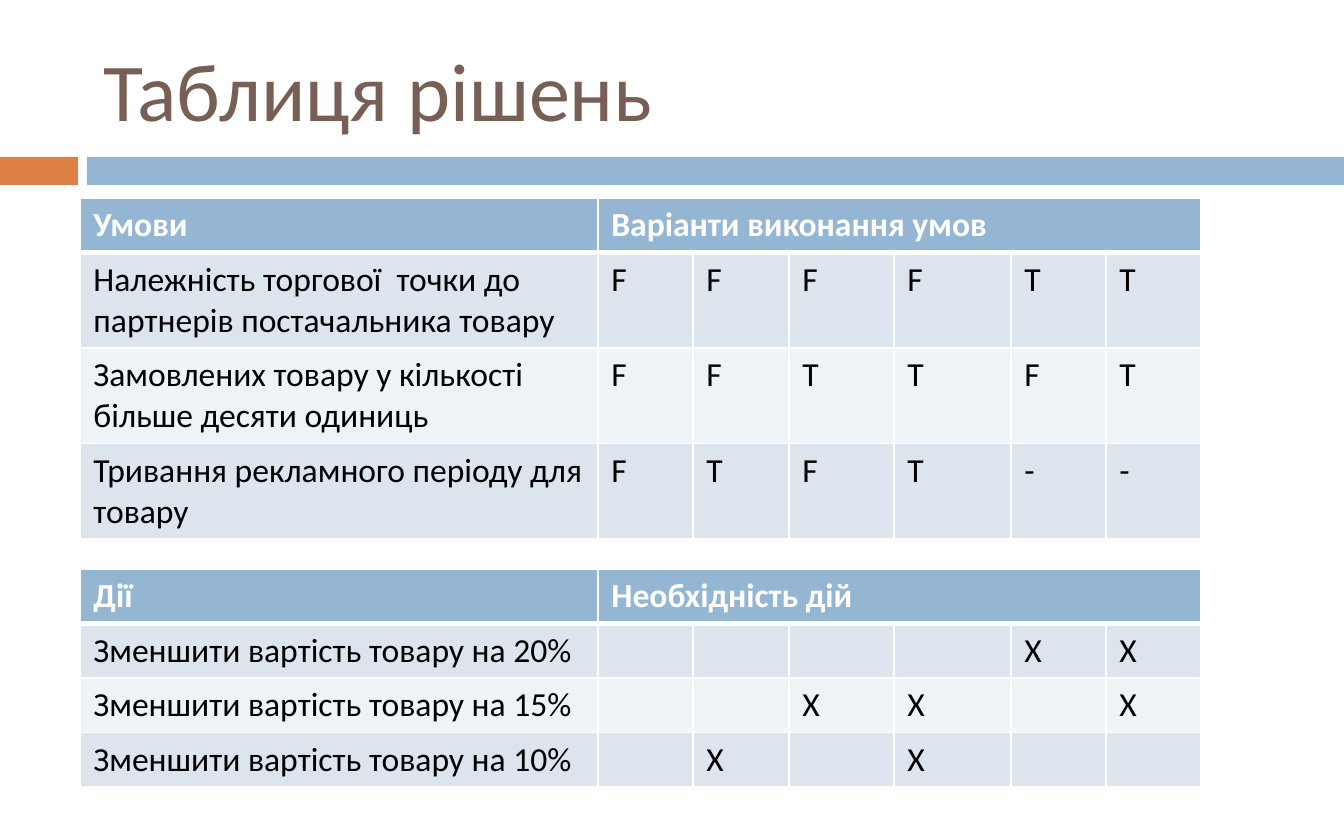
from lxml.etree import SubElement
from pptx import Presentation
from pptx.dml.color import RGBColor
from pptx.enum.shapes import MSO_SHAPE
from pptx.enum.text import MSO_ANCHOR, PP_ALIGN
from pptx.oxml.ns import qn
from pptx.util import Emu, Pt

SLIDE_WIDTH = 1344
SLIDE_HEIGHT = 840
EMU_PER_PX = 9144000 / SLIDE_WIDTH
FONT = "Calibri"
COLORS = {
    "title": "775F55",
    "orange": "DD8047",
    "blue": "94B6D2",
    "odd": "DCE5EE",
    "even": "EEF3F7",
    "white": "FFFFFF",
    "black": "000000",
}
TABLE_LEFT = 80
COLUMN_WIDTHS = [518, 95, 96, 105, 117, 95, 95]
HEADER_HEIGHT = 54
CONDITIONS = [
    ("Належність торгової  точки до партнерів постачальника товару", "FFFFTT"),
    ("Замовлених товару у кількості більше десяти одиниць", "FFTTFT"),
    ("Тривання рекламного періоду для товару", "FTFT--"),
]
ACTIONS = [
    ("Зменшити вартість товару на 20%", "    XX"),
    ("Зменшити вартість товару на 15%", "  XX X"),
    ("Зменшити вартість товару на 10%", " X X  "),
]


def px(value):
    return Emu(round(value * EMU_PER_PX))


def color(name):
    return RGBColor.from_string(COLORS[name])


def write_text(text_frame, text, size=18, color_name="black", bold=False):
    paragraph = text_frame.paragraphs[0]
    paragraph.alignment = PP_ALIGN.LEFT
    paragraph.font.size = Pt(size)
    if text:
        run = paragraph.add_run()
        run.text = text
        run.font.size = Pt(size)
        run.font.name = FONT
        run.font.bold = bold
        run.font.color.rgb = color(color_name)


def add_title(slide, text):
    title = slide.shapes.title
    title.left, title.top, title.width, title.height = map(px, (90, 28, 1199, 121))
    title.text_frame.vertical_anchor = MSO_ANCHOR.MIDDLE
    write_text(title.text_frame, text, size=44, color_name="title")


def add_bar(slide, left, width, color_name):
    bar = slide.shapes.add_shape(
        MSO_SHAPE.RECTANGLE, px(left), px(157), px(width), px(28)
    )
    bar.shadow.inherit = False
    bar.fill.solid()
    bar.fill.fore_color.rgb = color(color_name)
    bar.line.fill.background()


def set_borders(cell, top, bottom):
    properties = cell._tc.get_or_add_tcPr()
    for side, width in (("L", 1), ("R", 1), ("T", top), ("B", bottom)):
        line = SubElement(properties, qn(f"a:ln{side}"), w=str(Pt(width)))
        fill = SubElement(line, qn("a:solidFill"))
        SubElement(fill, qn("a:srgbClr"), val=COLORS["white"])


def format_cell(cell, row_index):
    set_borders(
        cell,
        top=3 if row_index == 1 else 1,
        bottom=3 if row_index == 0 else 1,
    )
    fill_name = "blue" if row_index == 0 else ("even", "odd")[row_index % 2]
    cell.fill.solid()
    cell.fill.fore_color.rgb = color(fill_name)


def add_decision_table(slide, top, row_height, headers, rows):
    heights = [HEADER_HEIGHT] + [row_height] * len(rows)
    table = slide.shapes.add_table(
        len(heights),
        len(COLUMN_WIDTHS),
        px(TABLE_LEFT),
        px(top),
        px(sum(COLUMN_WIDTHS)),
        px(sum(heights)),
    ).table
    for column, width in zip(table.columns, COLUMN_WIDTHS):
        column.width = px(width)
    for row_index, height in enumerate(heights):
        table.rows[row_index].height = px(height)
        for cell in table.rows[row_index].cells:
            format_cell(cell, row_index)
    table.cell(0, 1).merge(table.cell(0, len(COLUMN_WIDTHS) - 1))
    for column_index, header in enumerate(headers):
        write_text(
            table.cell(0, column_index).text_frame,
            header,
            color_name="white",
            bold=True,
        )
    for row_index, (label, marks) in enumerate(rows, start=1):
        for column_index, text in enumerate([label, *marks]):
            write_text(table.cell(row_index, column_index).text_frame, text.strip())


def main():
    presentation = Presentation()
    presentation.slide_width = px(SLIDE_WIDTH)
    presentation.slide_height = px(SLIDE_HEIGHT)
    slide = presentation.slides.add_slide(presentation.slide_layouts[5])
    add_bar(slide, 0, 78, "orange")
    add_bar(slide, 87, SLIDE_WIDTH - 87, "blue")
    add_title(slide, "Таблиця рішень")
    add_decision_table(
        slide, 198, 95, ["Умови", "Варіанти виконання умов"], CONDITIONS
    )
    add_decision_table(slide, 569, 54, ["Дії", "Необхідність дій"], ACTIONS)
    presentation.save("out.pptx")


if __name__ == "__main__":
    main()
